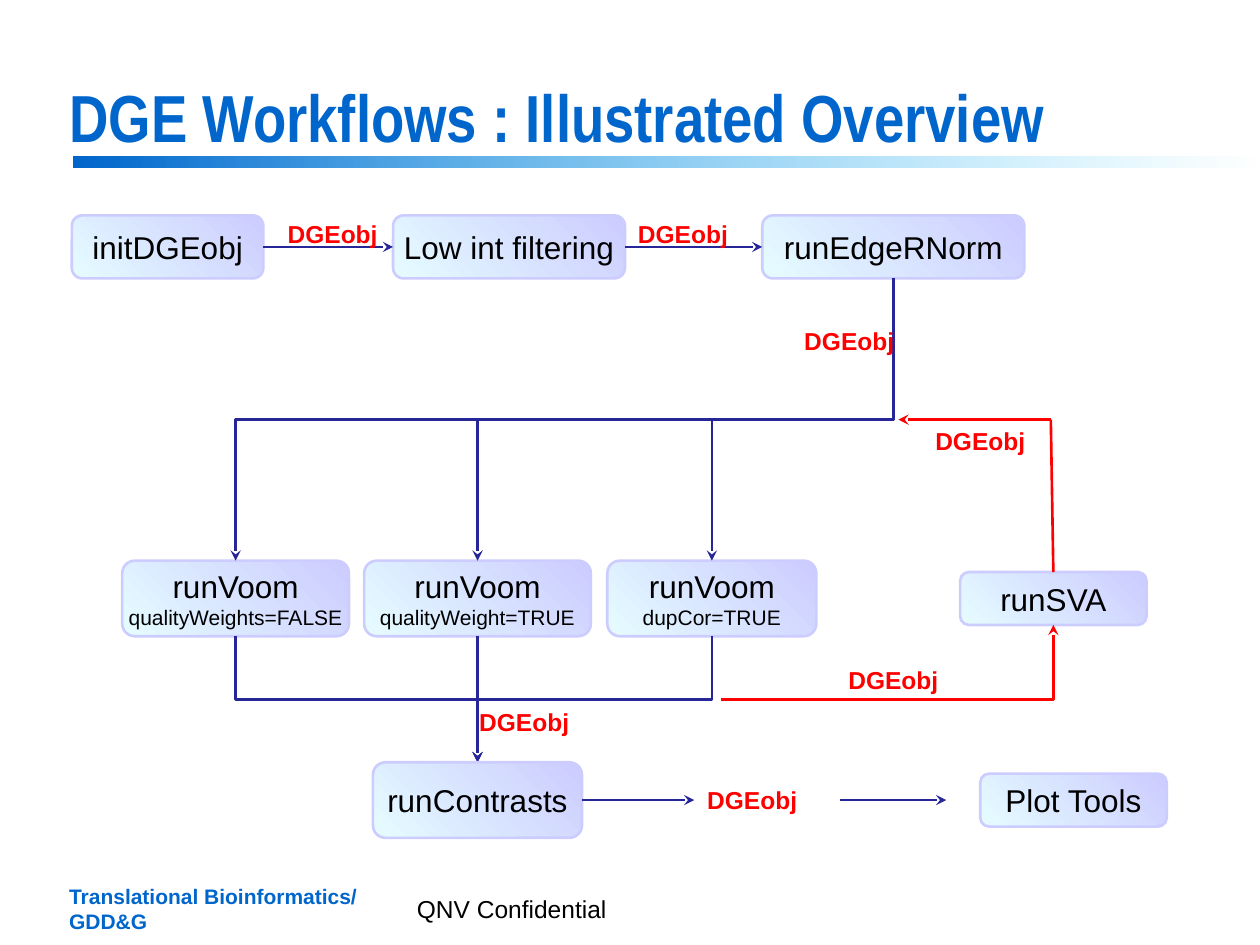
from dataclasses import dataclass

from lxml.etree import SubElement
from pptx import Presentation
from pptx.dml.color import RGBColor
from pptx.enum.shapes import MSO_CONNECTOR as Link, MSO_SHAPE as Shape
from pptx.enum.text import MSO_ANCHOR as Anchor, MSO_AUTO_SIZE as AutoSize, PP_ALIGN as Align
from pptx.oxml.ns import qn
from pptx.util import Inches, Pt


@dataclass(frozen=True)
class Theme:
    blue: str = "0066CC"
    sky: str = "33CCFF"
    ice: str = "E5FCFF"
    lilac: str = "CCCCFF"
    navy: str = "262699"
    red: str = "FF0000"
    black: str = "000000"
    font: str = "Arial"
    title_font: str = "Arial Narrow"
    title_size: int = 38
    step_size: int = 18
    label_size: int = 14
    detail_size: int = 12
    line_width: float = 1.5


THEME = Theme()


def rgb(color):
    return RGBColor.from_string(color)


def style(paragraph, size, color=THEME.black, bold=False, font=THEME.font):
    paragraph.font.name = font
    paragraph.font.size = Pt(size)
    paragraph.font.bold = bold
    paragraph.font.color.rgb = rgb(color)


def gradient(shape, colors, angle):
    shape.shadow.inherit = False
    shape.fill.gradient()
    shape.fill.gradient_angle = angle
    for stop, color in zip(shape.fill.gradient_stops, colors):
        stop.color.rgb = rgb(color)


def add_text(slide, box, text, size, color, bold=False, wrap=False,
             anchor=Anchor.MIDDLE, align=Align.LEFT):
    frame = slide.shapes.add_textbox(*map(Inches, box)).text_frame
    frame.text = text
    frame.word_wrap = wrap
    frame.vertical_anchor = anchor
    for paragraph in frame.paragraphs:
        paragraph.alignment = align
        style(paragraph, size, color, bold)


def add_step(slide, box, name, detail=None):
    step = slide.shapes.add_shape(Shape.ROUNDED_RECTANGLE, *map(Inches, box))
    gradient(step, (THEME.ice, THEME.lilac), 45)
    step.line.color.rgb = rgb(THEME.lilac)
    step.line.width = Pt(THEME.line_width)
    frame = step.text_frame
    frame.margin_left = frame.margin_right = frame.margin_top = frame.margin_bottom = 0
    frame.word_wrap = False
    frame.vertical_anchor = Anchor.MIDDLE
    frame.text = f"{name}\n{detail}" if detail else name
    for paragraph, size in zip(frame.paragraphs, (THEME.step_size, THEME.detail_size)):
        paragraph.alignment = Align.CENTER
        style(paragraph, size)


def add_object_label(slide, left, top):
    add_text(slide, (left, top, 0.92, 0.34), "DGEobj", THEME.label_size, THEME.red,
             bold=True, anchor=Anchor.TOP, align=Align.CENTER)


def add_link(slide, start, end, color=THEME.navy, kind=Link.STRAIGHT, arrow=True):
    link = slide.shapes.add_connector(kind, *map(Inches, (*start, *end)))
    link.line.color.rgb = rgb(color)
    link.line.width = Pt(THEME.line_width)
    if arrow:
        SubElement(link.line._get_or_add_ln(), qn("a:tailEnd"), type="stealth")
    SubElement(link._element.spPr, qn("a:effectLst"))
    return link


def add_drop(slide, start, end):
    (x1, y1), (x2, y2) = start, end
    mid_x, mid_y = (x1 + x2) / 2, (y1 + y2) / 2
    half_run, half_rise = (y2 - y1) / 2, abs(x2 - x1) / 2
    rightward = x2 > x1
    side = -1 if rightward else 1
    link = add_link(slide, (mid_x - side * half_run, mid_y - half_rise),
                    (mid_x + side * half_run, mid_y + half_rise), kind=Link.ELBOW)
    link._element.spPr.find(qn("a:xfrm")).set("rot", str((270 if rightward else 90) * 60000))


def add_heading(slide, box):
    left, top, width, height = box
    bar = slide.shapes.add_shape(Shape.RECTANGLE, Inches(0.58), Inches(1.24),
                                 Inches(9.42), Inches(0.09))
    gradient(bar, (THEME.blue, THEME.sky), 0)
    bar.line.fill.background()
    fade = list(bar._element.spPr.iter(qn("a:srgbClr")))[-1]
    SubElement(fade, qn("a:alpha"), val="0")

    title = slide.shapes.title
    title.left, title.top, title.width, title.height = map(Inches, box)
    frame = title.text_frame
    frame.text = "DGE Workflows : Illustrated Overview"
    frame.auto_size = AutoSize.NONE
    frame.word_wrap = True
    frame.vertical_anchor = Anchor.BOTTOM
    heading = frame.paragraphs[0]
    heading.alignment = Align.LEFT
    heading.line_spacing = 0.85
    style(heading, THEME.title_size, THEME.blue, True, THEME.title_font)


def add_preparation(slide, left, top):
    height, middle = 0.5, top + 0.25
    steps = (("initDGEobj", left, 1.52), ("Low int filtering", 3.12, 1.84),
             ("runEdgeRNorm", 6.05, 2.08))
    for name, x, width in steps:
        add_step(slide, (x, top, width, height), name)
    for (_, x, width), (_, next_x, _) in zip(steps, steps[1:]):
        add_link(slide, (x + width, middle), (next_x, middle))
    for x in (2.18, 4.96):
        add_object_label(slide, x, top - 0.02)
    return 7.09, top + height


def add_fits(slide, top, source, target):
    height = 0.6
    fits = (("qualityWeights=FALSE", 0.97, 1.8), ("qualityWeight=TRUE", 2.89, 1.8),
            ("dupCor=TRUE", 4.82, 1.66))
    for detail, x, width in fits:
        center = x + width / 2
        add_step(slide, (x, top, width, height), "runVoom", detail)
        add_drop(slide, source, (center, top))
        add_drop(slide, (center, top + height), target)
    add_object_label(slide, 6.28, 2.54)
    add_object_label(slide, 3.7, 5.56)


def add_surrogate_loop(slide, box):
    left, top, width, height = box
    center, rail = left + width / 2, 3.33
    add_step(slide, box, "runSVA")
    add_link(slide, (center - 0.02, rail), (7.13, rail), THEME.red)
    add_link(slide, (center, top), (center - 0.02, rail), THEME.red, arrow=False)
    feed = add_link(slide, (5.72, 5.55), (center, top + height), THEME.red, Link.ELBOW)
    feed._element.spPr.find(qn("a:prstGeom")).set("prst", "bentConnector2")
    add_object_label(slide, 6.63, 5.23)
    add_object_label(slide, 7.32, rail)


def add_results(slide, box):
    left, top, width, height = box
    middle = top + height / 2
    add_step(slide, box, "runContrasts")
    add_link(slide, (left + width, middle), (5.51, middle))
    add_object_label(slide, 5.51, middle - 0.17)
    add_link(slide, (6.67, middle), (7.51, middle))
    add_step(slide, (7.78, middle - 0.21, 1.48, 0.42), "Plot Tools")


def add_footer(slide, left, top):
    add_text(slide, (left, top, 2.51, 0.5), "Translational Bioinformatics/\nGDD&G",
             THEME.detail_size, THEME.blue, bold=True)
    add_text(slide, (3.21, top + 0.09, 3.58, 0.33), "QNV Confidential",
             THEME.label_size, THEME.black, wrap=True)


def main():
    deck = Presentation()
    deck.slide_width, deck.slide_height = Inches(10), Inches(7.5)
    slide = deck.slides.add_slide(deck.slide_layouts[5])
    add_heading(slide, (0.45, 0.65, 9.19, 0.64))
    normalized = add_preparation(slide, 0.57, 1.71)
    add_fits(slide, 4.45, normalized, (3.79, 6.05))
    add_surrogate_loop(slide, (7.62, 4.54, 1.48, 0.42))
    add_results(slide, (2.96, 6.05, 1.66, 0.6))
    add_footer(slide, 0.45, 6.96)
    deck.save("out.pptx")


if __name__ == "__main__":
    main()
